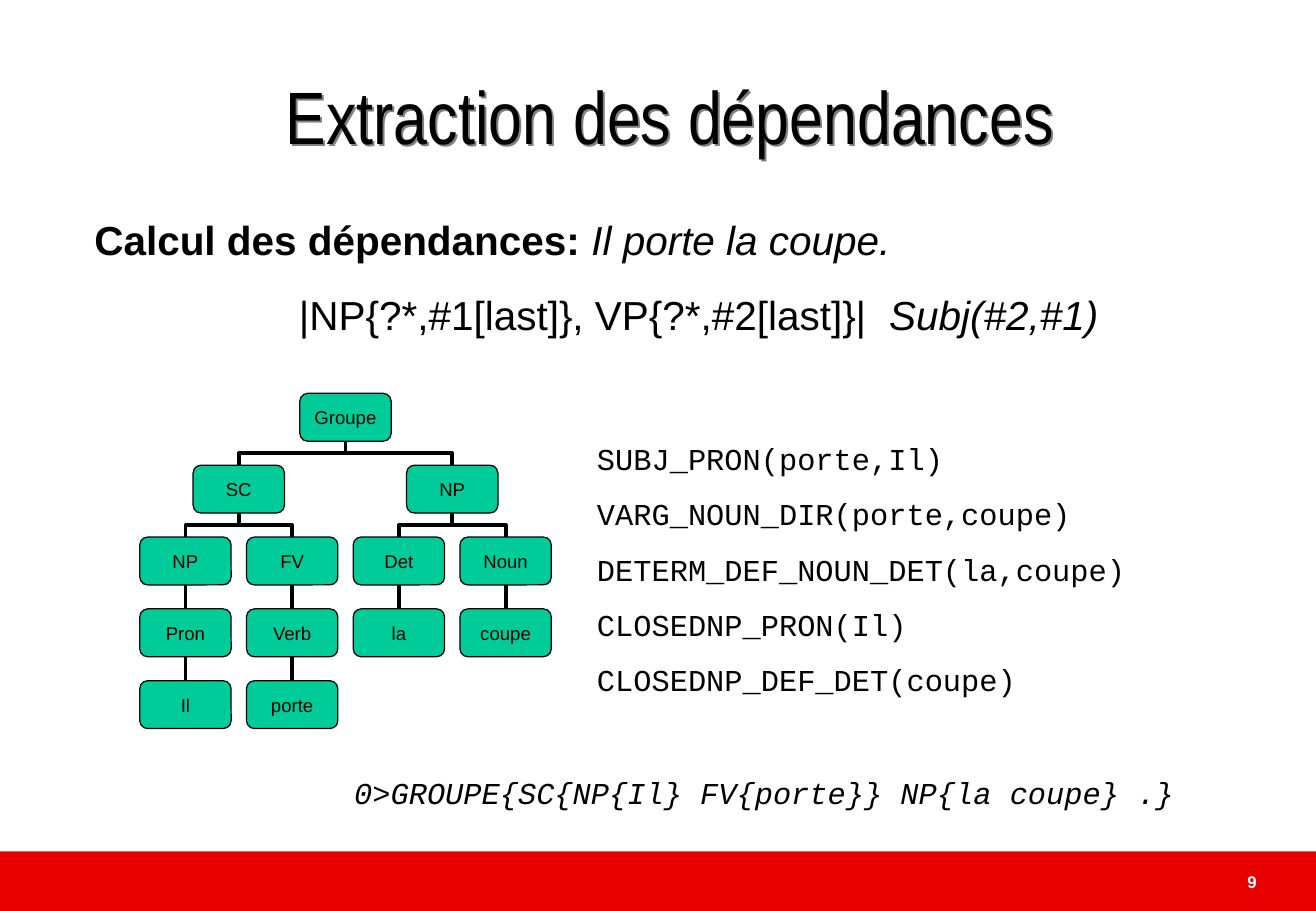
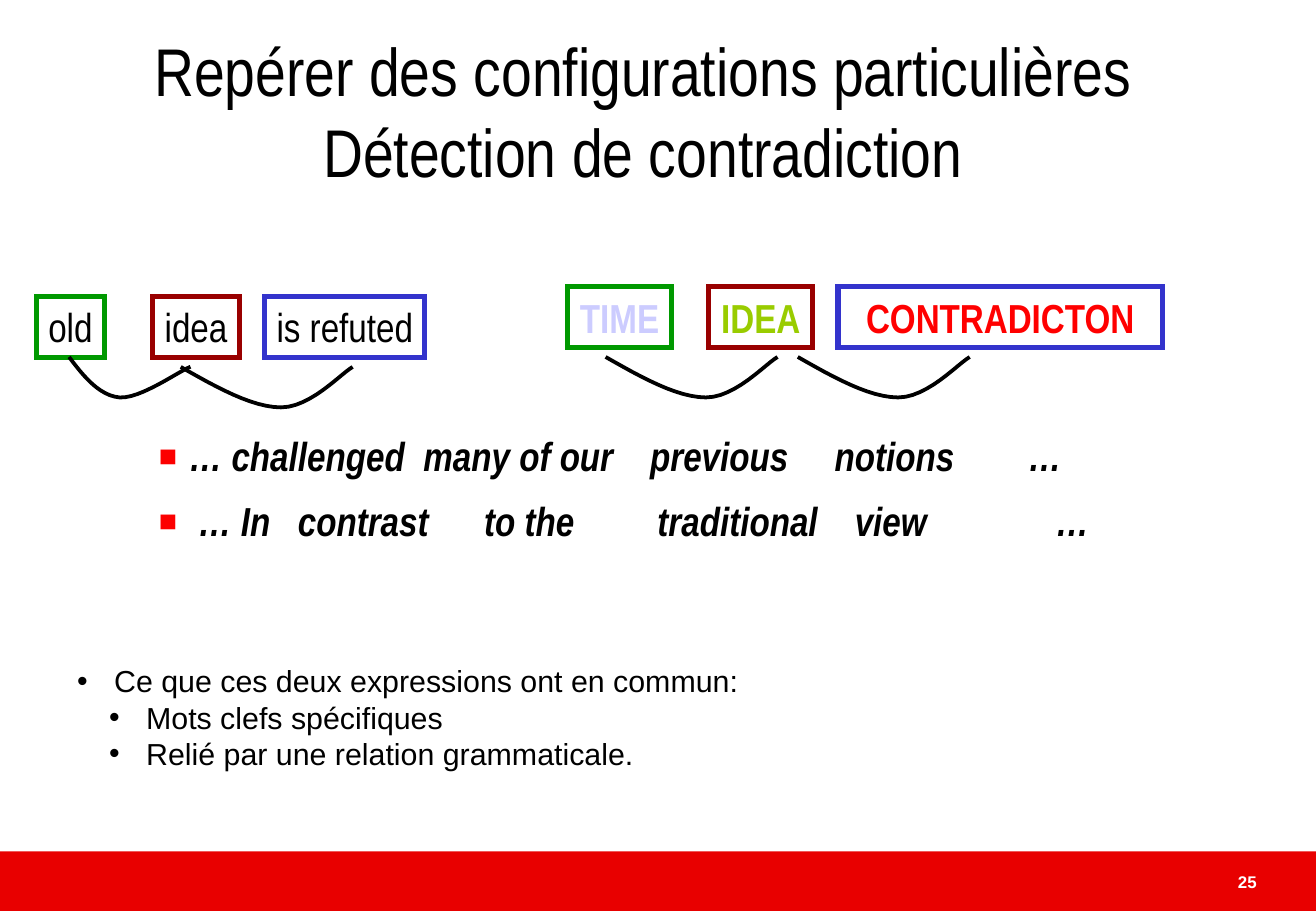
from lxml import etree
from pptx import Presentation
from pptx.dml.color import RGBColor
from pptx.enum.shapes import MSO_CONNECTOR as Connector, MSO_SHAPE as Shape
from pptx.enum.text import MSO_ANCHOR as Anchor, MSO_AUTO_SIZE as AutoSize, PP_ALIGN as Align
from pptx.oxml.ns import qn
from pptx.util import Pt

BLACK = RGBColor(0x00, 0x00, 0x00)
WHITE = RGBColor(0xFF, 0xFF, 0xFF)
SHADOW_GRAY = RGBColor(0x80, 0x80, 0x80)
BAND_RED = RGBColor(0xE8, 0x00, 0x00)
BULLET_RED = RGBColor(0xFC, 0x00, 0x00)
NODE_GREEN = RGBColor(0x00, 0xCC, 0x99)
TIME_GREEN = RGBColor(0x00, 0x99, 0x00)
IDEA_RED = RGBColor(0x99, 0x00, 0x00)
REFUTE_BLUE = RGBColor(0x33, 0x33, 0xCC)
LAVENDER = RGBColor(0xCC, 0xCC, 0xFF)
LIME = RGBColor(0x99, 0xCC, 0x00)
RED = RGBColor(0xFF, 0x00, 0x00)

SANS, NARROW, MONO = "Arial", "Arial Narrow", "Courier New"
WIDTH, HEIGHT, BAND_TOP = 780.5, 540.25, 505

# Tree grid: left and top of the first cell, steps and node size
TREE_LEFT, TREE_TOP = 82.9, 233.3
COLUMN_STEP, ROW_STEP = 63.3, 42.6
NODE_WIDTH, NODE_HEIGHT = 54.2, 28.4


def bezier(start, first, second, end, steps=12):
    """Points of a cubic curve after its start."""
    for step in range(1, steps + 1):
        t = step / steps
        yield tuple((1 - t) ** 3 * a + 3 * (1 - t) ** 2 * t * b
                    + 3 * (1 - t) * t ** 2 * c + t ** 3 * d
                    for a, b, c, d in zip(start, first, second, end))


class Deck:
    """Holds the shared style and the current slide."""

    def __init__(self):
        self.presentation = Presentation()
        self.presentation.slide_width = Pt(WIDTH)
        self.presentation.slide_height = Pt(HEIGHT)
        self.slide = None

    def new_slide(self, number):
        self.slide = self.presentation.slides.add_slide(self.presentation.slide_layouts[5])
        self.shape(Shape.RECTANGLE, (0, BAND_TOP, WIDTH, HEIGHT - BAND_TOP), fill=BAND_RED)
        frame = self.text_box((589.7, 513.4, 162.7, 24))
        self.paragraph(frame, [(str(number), "b")], 10, color=WHITE, align=Align.RIGHT)

    def title(self, text, box, size, shadow=False):
        title = self.slide.shapes.title
        title.left, title.top, title.width, title.height = map(Pt, box)
        frame = title.text_frame
        frame.auto_size = AutoSize.NONE
        frame.vertical_anchor = Anchor.MIDDLE
        self.paragraph(frame, [text], size, NARROW, align=Align.CENTER)
        if shadow:
            title.fill.background()
            effects = etree.SubElement(title._element.spPr, qn("a:effectLst"))
            outer = etree.SubElement(effects, qn("a:outerShdw"),
                                     dist=str(Pt(1.7)), dir="2700000")
            etree.SubElement(outer, qn("a:srgbClr"), val=str(SHADOW_GRAY))

    def text_box(self, box):
        frame = self.slide.shapes.add_textbox(*map(Pt, box)).text_frame
        frame.word_wrap = True
        return frame

    def paragraph(self, frame, parts, size, font=SANS, color=BLACK, align=Align.LEFT,
                  margin=0, indent=0, line=None, before=0, after=0, bullet=None):
        """Parts are text, (text, "b"/"i" flags), or the points that widen one space."""
        first = not frame.paragraphs[0].runs
        paragraph = frame.paragraphs[0] if first else frame.add_paragraph()
        for part in parts:
            if isinstance(part, (int, float)):
                run = paragraph.add_run()
                run.text = " "
                run._r.get_or_add_rPr().set("spc", str(round(part * 100)))
                continue
            text, flags = (part, "") if isinstance(part, str) else part
            for index, piece in enumerate(text.split("\n")):
                if index:
                    paragraph.add_line_break()
                run = paragraph.add_run()
                run.text = piece
                if "b" in flags:
                    run.font.bold = True
                if "i" in flags:
                    run.font.italic = True
        paragraph.alignment = align
        paragraph.space_before = Pt(0 if first else before)
        paragraph.space_after = Pt(after)
        if line:
            paragraph.line_spacing = line
        properties = paragraph._p.get_or_add_pPr()
        properties.set("marL", str(Pt(margin)))
        properties.set("indent", str(Pt(indent)))
        if bullet:
            mark, mark_color, percent = bullet
            holder = etree.SubElement(properties, qn("a:buClr"))
            etree.SubElement(holder, qn("a:srgbClr"), val=str(mark_color))
            etree.SubElement(properties, qn("a:buSzPct"), val=str(percent * 1000))
            etree.SubElement(properties, qn("a:buFont"), typeface=SANS)
            etree.SubElement(properties, qn("a:buChar"), char=mark)
        paragraph.font.size = Pt(size)
        paragraph.font.name = font
        paragraph.font.color.rgb = color

    def shape(self, kind, box, fill=None, line=None, weight=1):
        shape = self.slide.shapes.add_shape(kind, *map(Pt, box))
        self.paint(shape, fill, line, weight)
        return shape

    def paint(self, shape, fill, line, weight):
        shape.shadow.inherit = False
        if fill is None:
            shape.fill.background()
        else:
            shape.fill.solid()
            shape.fill.fore_color.rgb = fill
        if line is None:
            shape.line.fill.background()
        else:
            shape.line.color.rgb = line
            shape.line.width = Pt(weight)

    def label(self, text, box, border, color=BLACK, flags=""):
        label = self.shape(Shape.RECTANGLE, box, line=border, weight=3)
        outline = label._element.spPr.find(qn("a:ln"))
        etree.SubElement(outline, qn("a:miter"), lim="800000")
        frame = label.text_frame
        frame.word_wrap = False
        frame.vertical_anchor = Anchor.TOP
        self.paragraph(frame, [(text, flags)], 24, NARROW, color, Align.CENTER)

    def curve(self, left, top, points):
        """Curve through cubic segments; points are offsets from left, top."""
        points = [(left + x, top + y) for x, y in points]
        route = [points[0]]
        for start in range(0, len(points) - 1, 3):
            route.extend(bezier(*points[start:start + 4]))
        route = [(Pt(x), Pt(y)) for x, y in route]
        builder = self.slide.shapes.build_freeform(*route[0])
        builder.add_line_segments(route[1:], close=False)
        self.paint(builder.convert_to_shape(), None, BLACK, 2.25)

    def node(self, text, column, row):
        box = (TREE_LEFT + column * COLUMN_STEP, TREE_TOP + row * ROW_STEP,
               NODE_WIDTH, NODE_HEIGHT)
        node = self.shape(Shape.ROUNDED_RECTANGLE, box, NODE_GREEN, BLACK, 0.75)
        frame = node.text_frame
        frame.word_wrap = False
        frame.vertical_anchor = Anchor.MIDDLE
        frame.margin_left = frame.margin_right = Pt(3.6)
        frame.margin_top = frame.margin_bottom = Pt(1.4)
        self.paragraph(frame, [text], 11, align=Align.CENTER)
        return node

    def tree(self, branch, first_column=0, row=0):
        """Draw a (text, *children) branch; return its node, column and leaf count."""
        text, *children = branch
        drawn, leaves = [], 0
        for child in children:
            node, column, count = self.tree(child, first_column + leaves, row + 1)
            drawn.append((node, column))
            leaves += count
        column = (drawn[0][1] + drawn[-1][1]) / 2 if drawn else first_column
        parent = self.node(text, column, row)
        for node, child_column in drawn:
            self.join(parent, node, child_column - column)
        return parent, column, max(leaves, 1)

    def join(self, parent, child, side):
        """Connect parent bottom to child top; side is below 0 for a child on the left."""
        kind = Connector.ELBOW if side else Connector.STRAIGHT
        connector = self.slide.shapes.add_connector(kind, 0, 0, 0, 0)
        connector.begin_connect(parent, 2)
        connector.end_connect(child, 0)
        if side:
            # An elbow that leaves downwards is a quarter turn of the standard one
            x1, y1 = connector.begin_x, connector.begin_y
            x2, y2 = connector.end_x, connector.end_y
            middle_x, middle_y = (x1 + x2) // 2, (y1 + y2) // 2
            reach, rise = (y2 - y1) // 2, abs(x2 - x1) // 2
            if side > 0:
                reach = -reach
            connector.begin_x, connector.begin_y = middle_x - reach, middle_y - rise
            connector.end_x, connector.end_y = middle_x + reach, middle_y + rise
            turn = 90 if side < 0 else 270
            connector._element.spPr.find(qn("a:xfrm")).set("rot", str(turn * 60000))
        connector.line.color.rgb = BLACK
        connector.line.width = Pt(2.25)
        etree.SubElement(connector._element.spPr, qn("a:effectLst"))


def dependency_slide(deck):
    deck.new_slide(9)
    deck.title("Extraction des dépendances", (39, 26.5, 717, 83), 44, shadow=True)

    # Rule
    frame = deck.text_box((48.9, 118, 731, 110))
    layout = dict(margin=30, indent=-30, line=1.2, after=10)
    deck.paragraph(frame, [("Calcul des dépendances: ", "b"), ("Il porte la coupe.", "i")],
                   24, **layout)
    deck.paragraph(frame, ["|NP{?*,#1[last]}, VP{?*,#2[last]}|", 6.7, ("Subj(#2,#1)", "i")],
                   24, align=Align.CENTER, **layout)

    # Syntax tree
    deck.tree(("Groupe",
               ("SC",
                ("NP", ("Pron", ("Il",))),
                ("FV", ("Verb", ("porte",)))),
               ("NP",
                ("Det", ("la",)),
                ("Noun", ("coupe",)))))

    # Extracted dependencies
    frame = deck.text_box((347, 257.6, 418, 160))
    for call in ("SUBJ_PRON(porte,Il)", "VARG_NOUN_DIR(porte,coupe)",
                 "DETERM_DEF_NOUN_DET(la,coupe)", "CLOSEDNP_PRON(Il)",
                 "CLOSEDNP_DEF_DET(coupe)"):
        deck.paragraph(frame, [call], 18, MONO, before=11.2)
    frame = deck.text_box((203, 455.3, 562, 28))
    deck.paragraph(frame, [("0>GROUPE{SC{NP{Il} FV{porte}} NP{la coupe} .}", "i")], 18, MONO)


def contradiction_slide(deck):
    deck.new_slide(25)
    deck.title("Repérer des configurations particulières\nDétection de contradiction",
               (49.7, 20.2, 663, 90), 40)

    # Example words and their classes
    for text, left, width, border in (("old", 21.5, 40.5, TIME_GREEN),
                                      ("idea", 90.5, 51.5, IDEA_RED),
                                      ("is refuted", 157, 95, REFUTE_BLUE)):
        deck.label(text, (left, 175.8, width, 36.2), border)
    for text, left, width, border, color in (("TIME", 336.7, 61.5, TIME_GREEN, LAVENDER),
                                             ("IDEA", 420.5, 61.5, IDEA_RED, LIME),
                                             ("CONTRADICTON", 497, 192.5, REFUTE_BLUE, RED)):
        deck.label(text, (left, 170, width, 36.2), border, color, "b")

    # Relations between neighbours
    deck.curve(41, 211.7, [(0, 0), (8.6, 11.5), (18, 23), (30, 24),
                           (42, 25), (65, 8.6), (72, 5.8)])
    arc = [(0, 0), (21, 12), (42.5, 24), (59.5, 24), (77, 24), (95, 4), (102, 0)]
    for left, top in ((107.2, 217.6), (359.2, 211.7), (473.2, 211.7)):
        deck.curve(left, top, arc)

    # Expressions, with widened spaces between the phrases
    frame = deck.text_box((59.6, 246.5, 612, 85))
    for margin, phrases in (
            (45.5, ["… challenged", 5.5, "many of our", 16.4, "previous", 21.9, "notions",
                    38.3, "…"]),
            (51, ["… In", 10.9, "contrast", 27.3, "to the", 43.8, "traditional", 16.4, "view",
                  71.1, "…"])):
        parts = [(part, "bi") if isinstance(part, str) else part for part in phrases]
        deck.paragraph(frame, parts, 24, NARROW, margin=margin, indent=27.5 - margin,
                       line=1.2, before=4, bullet=("■", BULLET_RED, 75))

    # Common points
    frame = deck.text_box((38.6, 389.3, 613, 80))
    for text, margin in (("Ce que ces deux expressions ont en commun:", 22),
                         ("Mots clefs spécifiques", 41),
                         ("Relié par une relation grammaticale.", 41)):
        deck.paragraph(frame, [text], 18, margin=margin, indent=-22, bullet=("•", BLACK, 100))


def main():
    deck = Deck()
    dependency_slide(deck)
    contradiction_slide(deck)
    deck.presentation.save("out.pptx")


if __name__ == "__main__":
    main()
